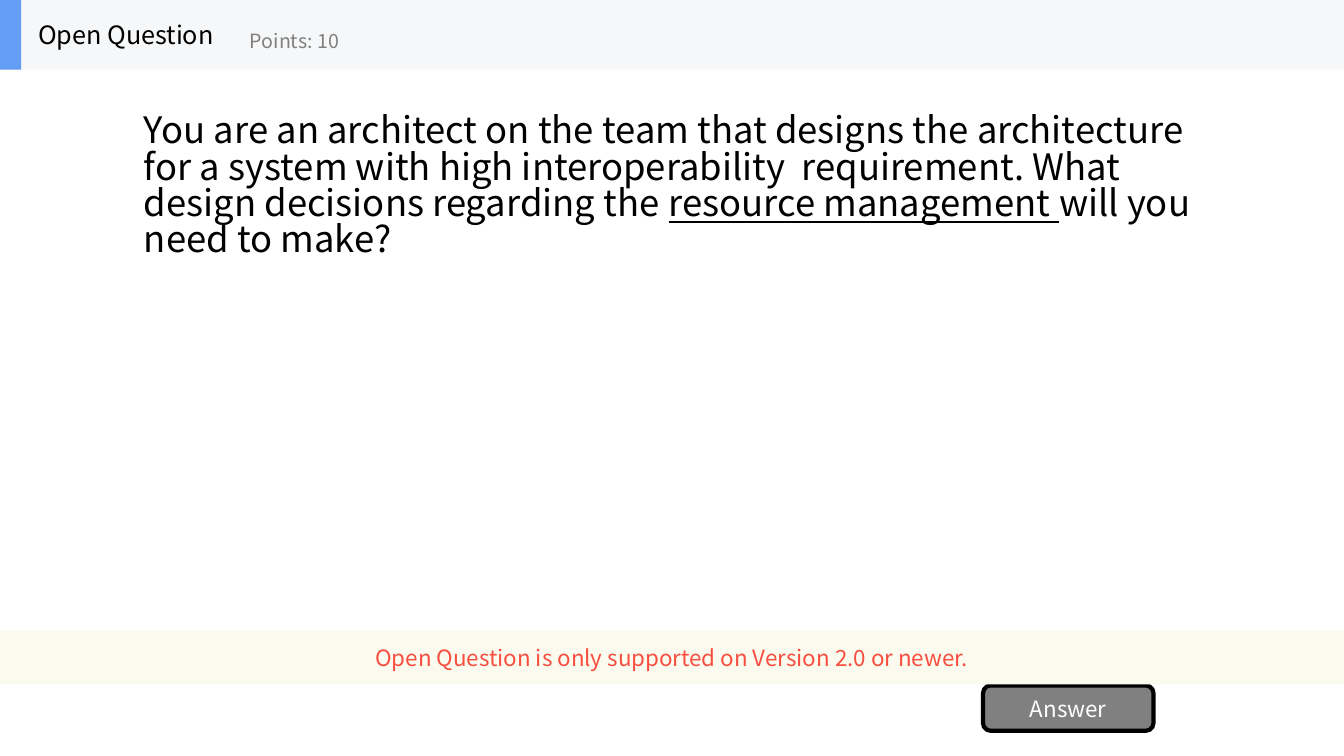
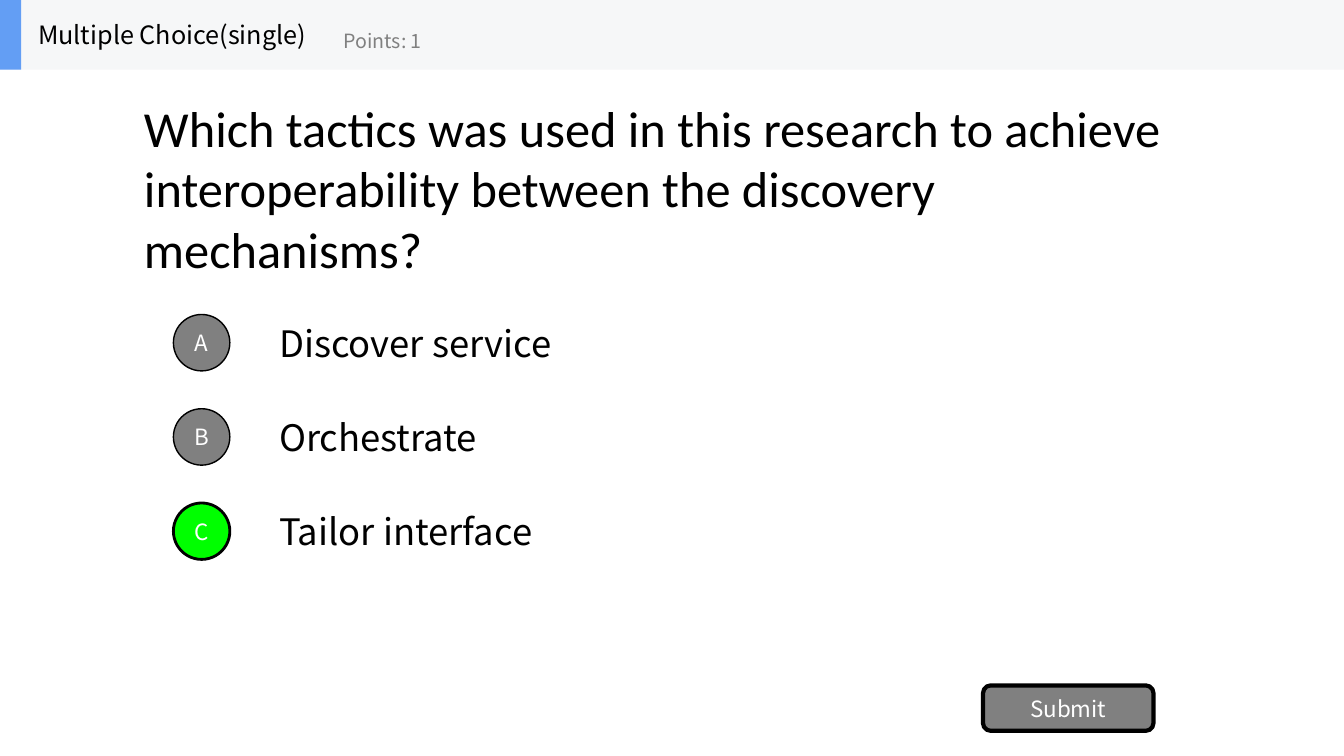
from pptx import Presentation
from pptx.dml.color import RGBColor
from pptx.enum import shapes, text
from pptx.util import Inches, Pt

BLACK = RGBColor(0x00, 0x00, 0x00)
WHITE = RGBColor(0xFF, 0xFF, 0xFF)
GREY = RGBColor(0x80, 0x80, 0x80)
GREEN = RGBColor(0x00, 0xFF, 0x00)
BAND = RGBColor(0xF6, 0xF7, 0xF8)
ACCENT = RGBColor(0x63, 0x9E, 0xF4)
CREAM = RGBColor(0xFB, 0xFA, 0xEF)
RED = RGBColor(0xF8, 0x4F, 0x41)
SANS = "Noto Sans CJK SC"
SHAPE = shapes.MSO_SHAPE
LEFT, CENTER = text.PP_ALIGN.LEFT, text.PP_ALIGN.CENTER

WIDTH, HEADER_HEIGHT = 13.33, 0.69
MARGIN = 1.33


def write(box, runs, size, color=BLACK, align=LEFT, font=SANS):
    frame = box.text_frame
    frame.word_wrap = True
    frame.vertical_anchor = text.MSO_ANCHOR.MIDDLE
    paragraph = frame.paragraphs[0]
    paragraph.alignment = align
    paragraph.font.size = Pt(size)
    paragraph.font.name = font
    paragraph.font.color.rgb = color
    for words, underlined in runs:
        run = paragraph.add_run()
        run.text = words
        if underlined:
            run.font.underline = True
    return paragraph


def add_block(parent, kind, left, top, width, height, fill, border=0):
    block = parent.add_shape(kind, Inches(left), Inches(top), Inches(width), Inches(height))
    block.shadow.inherit = False
    block.fill.solid()
    block.fill.fore_color.rgb = fill
    if border:
        block.line.color.rgb = BLACK
        block.line.width = Pt(border)
    else:
        block.line.fill.background()
    return block


QUESTIONS = [
    {
        "type": "Open Question", "points": "Points: 10", "points_left": 2.38,
        "question": [
            ("You are an architect on the team that designs the architecture for a system "
             "with high interoperability  requirement. What design decisions regarding the ", False),
            ("resource management ", True),
            ("will you need to make? ", False),
        ],
        "size": 26, "font": SANS, "spacing": 0.83,
        "options": [], "correct": None, "button": "Answer",
        "notice": "Open Question is only supported on Version 2.0 or newer.",
    },
    {
        "type": "Multiple Choice(single)", "points": "Points: 1", "points_left": 3.31,
        "question": [
            ("Which tactics was used in this research to achieve interoperability "
             "between the discovery mechanisms?", False),
        ],
        "size": 36, "font": "Calibri", "spacing": 1.0,
        "options": ["Discover service", "Orchestrate", "Tailor interface"],
        "correct": "C", "button": "Submit", "notice": None,
    },
]

deck = Presentation()
deck.slide_width, deck.slide_height = Inches(WIDTH), Inches(7.5)

for item in QUESTIONS:
    canvas = deck.slides.add_slide(deck.slide_layouts[6]).shapes

    question = canvas.add_textbox(Inches(MARGIN), Inches(HEADER_HEIGHT), Inches(10.67), Inches(2.34))
    wording = write(question, item["question"], item["size"], font=item["font"])
    wording.line_spacing = item["spacing"]

    for row, (letter, answer) in enumerate(zip("ABC", item["options"])):
        top = 3.05 + row * 0.935
        option = canvas.add_textbox(Inches(2.67), Inches(top), Inches(9.33), Inches(0.7))
        write(option, [(answer, False)], 26)
        correct = letter == item["correct"]
        badge = add_block(canvas, SHAPE.OVAL, 1.72, top + 0.07, 0.56, 0.56,
                          GREEN if correct else GREY, 2 if correct else 1)
        badge.text_frame.margin_left = badge.text_frame.margin_right = 0
        write(badge, [(letter, False)], 16, WHITE, CENTER)

    button = add_block(canvas, SHAPE.ROUNDED_RECTANGLE, 9.75, 6.8, 1.69, 0.45, GREY, 3)
    write(button, [(item["button"], False)], 16, WHITE, CENTER)

    if item["notice"]:
        notice = add_block(canvas, SHAPE.RECTANGLE, 0, 6.26, WIDTH, 0.53, CREAM)
        write(notice, [(item["notice"], False)], 16, RED, CENTER)

    header = canvas.add_group_shape().shapes
    add_block(header, SHAPE.RECTANGLE, 0, 0, WIDTH, HEADER_HEIGHT, BAND)
    add_block(header, SHAPE.RECTANGLE, 0, 0, 0.21, HEADER_HEIGHT, ACCENT)
    title = header.add_textbox(Inches(0.28), 0, Inches(item["points_left"] - 0.28), Inches(HEADER_HEIGHT))
    write(title, [(item["type"], False)], 18)
    points = header.add_textbox(Inches(item["points_left"]), Inches(0.12), Inches(2.5), Inches(0.56))
    write(points, [(item["points"], False)], 14, GREY)

deck.save("out.pptx")
